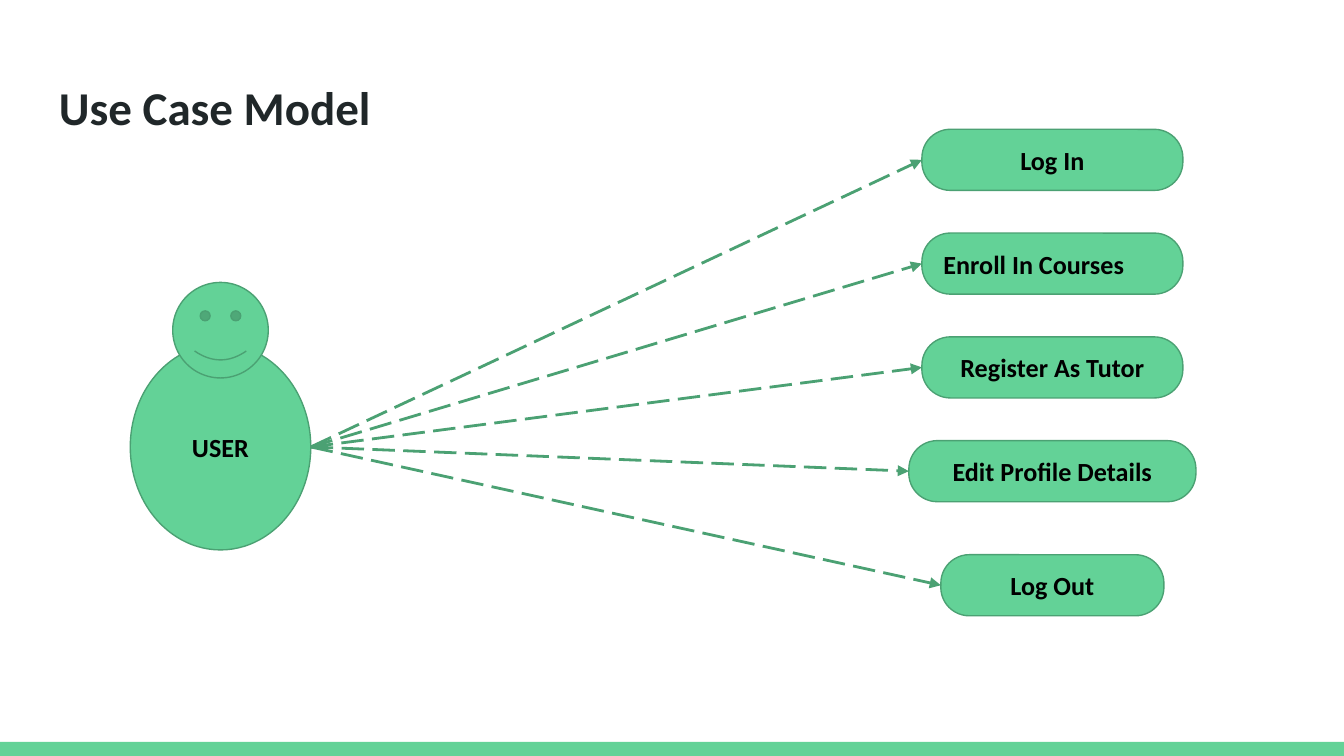
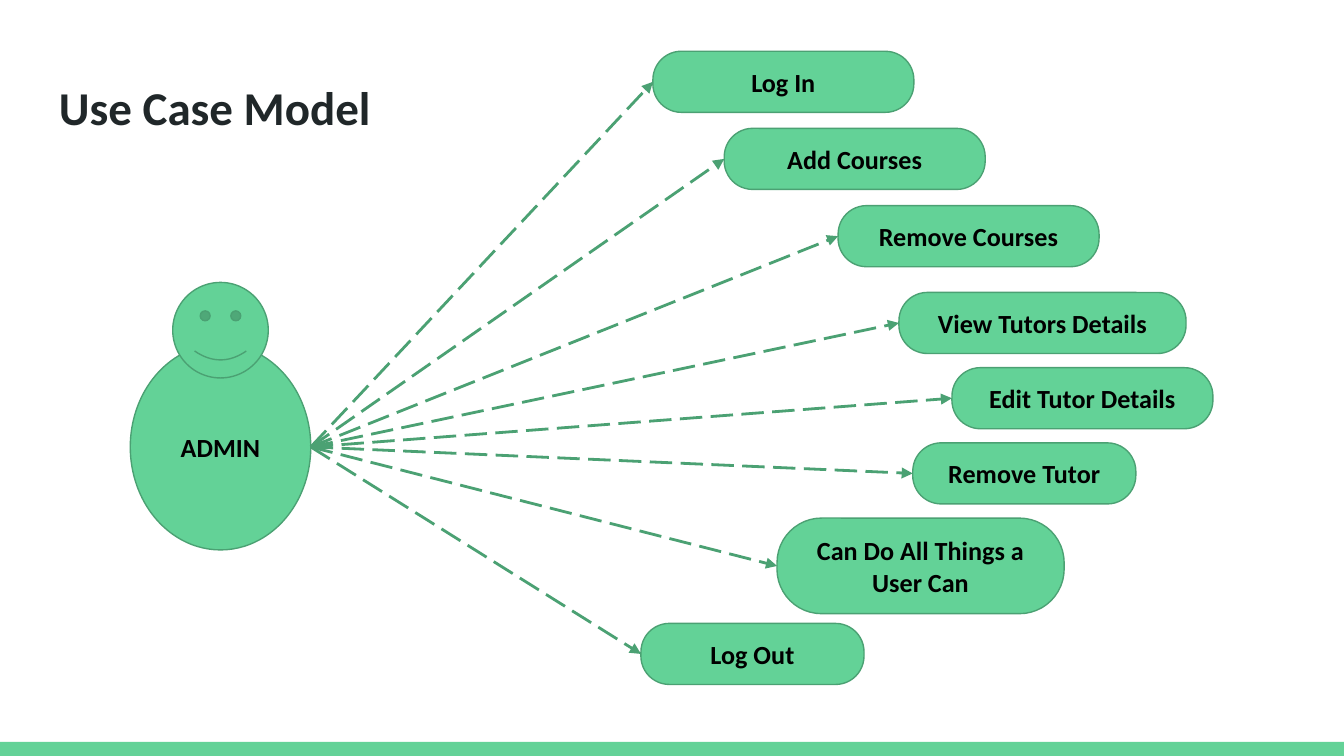
from dataclasses import dataclass

from lxml.etree import SubElement
from pptx import Presentation
from pptx.dml.color import RGBColor
from pptx.enum.dml import MSO_LINE
from pptx.enum.shapes import MSO_CONNECTOR, MSO_SHAPE
from pptx.enum.text import MSO_ANCHOR, PP_ALIGN
from pptx.oxml.ns import qn
from pptx.shapes.autoshape import Shape
from pptx.slide import Slide
from pptx.text.text import TextFrame
from pptx.util import Pt

GREEN = RGBColor(0x63, 0xD2, 0x97)
DARK_GREEN = RGBColor(0x4B, 0xA1, 0x73)
INK = RGBColor(0x20, 0x27, 0x29)
BLACK = RGBColor(0, 0, 0)
WHITE = RGBColor(0xFF, 0xFF, 0xFF)
FONT = "Calibri"

SLIDE_WIDTH, SLIDE_HEIGHT = 720, 405
BAND_TOP = 397.5
INSET = 7.2

BODY_LEFT, BODY_TOP, BODY_WIDTH, BODY_HEIGHT = 69.8, 184.3, 96.7, 110.3
HEAD_TOP, HEAD_SIZE = 151.3, 51.2

NARROW, MEDIUM, WIDE = 119.5, 139.8, 153.8
CASE_HEIGHT, TWO_LINE_HEIGHT = 32.7, 51.2
CASE_ROUNDING = 0.466
USER_CASE_CENTER = 563.8
USER_CASE_TOP, USER_CASE_PITCH = 69.3, 55.6


@dataclass(frozen=True)
class UseCase:
    label: str
    left: float
    top: float
    width: float = MEDIUM
    height: float = CASE_HEIGHT
    align: PP_ALIGN = PP_ALIGN.CENTER


def user_case(label: str, top: float, width: float = MEDIUM,
              align: PP_ALIGN = PP_ALIGN.CENTER) -> UseCase:
    """Place a use case on the vertical axis that the user's cases share."""
    return UseCase(label, USER_CASE_CENTER - width / 2, top, width, align=align)


def user_row(row: int) -> float:
    return USER_CASE_TOP + row * USER_CASE_PITCH


USER_CASES = [
    user_case("Log In", user_row(0)),
    user_case("Enroll In Courses", user_row(1), align=PP_ALIGN.LEFT),
    user_case("Register As Tutor", user_row(2)),
    user_case("Edit Profile Details", user_row(3), WIDE),
    user_case("Log Out", 297.2, NARROW),
]

ADMIN_CASES = [
    UseCase("Log In", 349.8, 27.5),
    UseCase("Add Courses", 388, 68.8),
    UseCase("Remove Courses", 449, 110.2),
    UseCase("View Tutors Details", 481.6, 156.7, WIDE),
    UseCase("Edit Tutor Details", 510, 197),
    UseCase("Remove Tutor", 489, 237.3, NARROW),
    UseCase("Can Do All Things a User Can", 416.3, 277.6, WIDE, TWO_LINE_HEIGHT),
    UseCase("Log Out", 343.4, 334, NARROW),
]


def write(frame: TextFrame, text: str, size: float, color: RGBColor,
          align: PP_ALIGN, anchor: MSO_ANCHOR) -> None:
    frame.word_wrap = True
    frame.vertical_anchor = anchor
    frame.margin_left = frame.margin_right = Pt(INSET)
    frame.margin_top = frame.margin_bottom = Pt(INSET)
    paragraph = frame.paragraphs[0]
    paragraph.alignment = align
    run = paragraph.add_run()
    run.text = text
    run.font.name = FONT
    run.font.size = Pt(size)
    run.font.bold = True
    run.font.color.rgb = color


def paint(shape: Shape) -> None:
    """Give a shape the green fill and thin outline of the diagram."""
    shape.shadow.inherit = False
    shape.fill.solid()
    shape.fill.fore_color.rgb = GREEN
    shape.line.color.rgb = DARK_GREEN
    shape.line.width = Pt(0.75)


def label(shape: Shape, text: str, align: PP_ALIGN = PP_ALIGN.CENTER) -> None:
    write(shape.text_frame, text, 14, BLACK, align, MSO_ANCHOR.MIDDLE)


def add_frame(slide: Slide, heading: str) -> None:
    """Add the background, bottom band and title that the slides share."""
    slide.background.fill.solid()
    slide.background.fill.fore_color.rgb = WHITE
    band = slide.shapes.add_shape(MSO_SHAPE.RECTANGLE, 0, Pt(BAND_TOP),
                                  Pt(SLIDE_WIDTH), Pt(SLIDE_HEIGHT - BAND_TOP))
    paint(band)
    band.line.fill.background()
    title = slide.shapes.add_textbox(Pt(24.5), Pt(35), Pt(671), Pt(45))
    write(title.text_frame, heading, 25.2, INK, PP_ALIGN.LEFT, MSO_ANCHOR.TOP)


def add_actor(slide: Slide, role: str) -> None:
    figure = slide.shapes.add_group_shape()
    body = figure.shapes.add_shape(MSO_SHAPE.OVAL, Pt(BODY_LEFT), Pt(BODY_TOP),
                                   Pt(BODY_WIDTH), Pt(BODY_HEIGHT))
    paint(body)
    label(body, role)
    head_left = BODY_LEFT + (BODY_WIDTH - HEAD_SIZE) / 2
    head = figure.shapes.add_shape(MSO_SHAPE.SMILEY_FACE, Pt(head_left), Pt(HEAD_TOP),
                                   Pt(HEAD_SIZE), Pt(HEAD_SIZE))
    paint(head)


def add_use_case(slide: Slide, case: UseCase) -> Shape:
    pill = slide.shapes.add_shape(MSO_SHAPE.ROUNDED_RECTANGLE, Pt(case.left),
                                  Pt(case.top), Pt(case.width), Pt(case.height))
    pill.adjustments[0] = CASE_ROUNDING
    paint(pill)
    label(pill, case.label, case.align)
    return pill


def add_arrow(slide: Slide, pill: Shape) -> None:
    """Draw a dashed arrow from the actor's right side to a use case."""
    start_x, start_y = Pt(BODY_LEFT + BODY_WIDTH), Pt(BODY_TOP + BODY_HEIGHT / 2)
    arrow = slide.shapes.add_connector(MSO_CONNECTOR.STRAIGHT, start_x, start_y,
                                       pill.left, pill.top)
    arrow.end_connect(pill, 1)
    arrow.line.color.rgb = DARK_GREEN
    arrow.line.width = Pt(1.5)
    arrow.line.dash_style = MSO_LINE.LONG_DASH
    SubElement(arrow.line._get_or_add_ln(), qn("a:tailEnd"), type="triangle")
    SubElement(arrow._element.spPr, qn("a:effectLst"))


def add_use_case_slide(deck: Presentation, role: str, cases: list[UseCase]) -> None:
    slide = deck.slides.add_slide(deck.slide_layouts[6])
    add_frame(slide, "Use Case Model")
    add_actor(slide, role)
    for case in cases:
        add_arrow(slide, add_use_case(slide, case))


def main() -> None:
    deck = Presentation()
    deck.slide_width = Pt(SLIDE_WIDTH)
    deck.slide_height = Pt(SLIDE_HEIGHT)
    add_use_case_slide(deck, "USER", USER_CASES)
    add_use_case_slide(deck, "ADMIN", ADMIN_CASES)
    deck.save("out.pptx")


if __name__ == "__main__":
    main()
